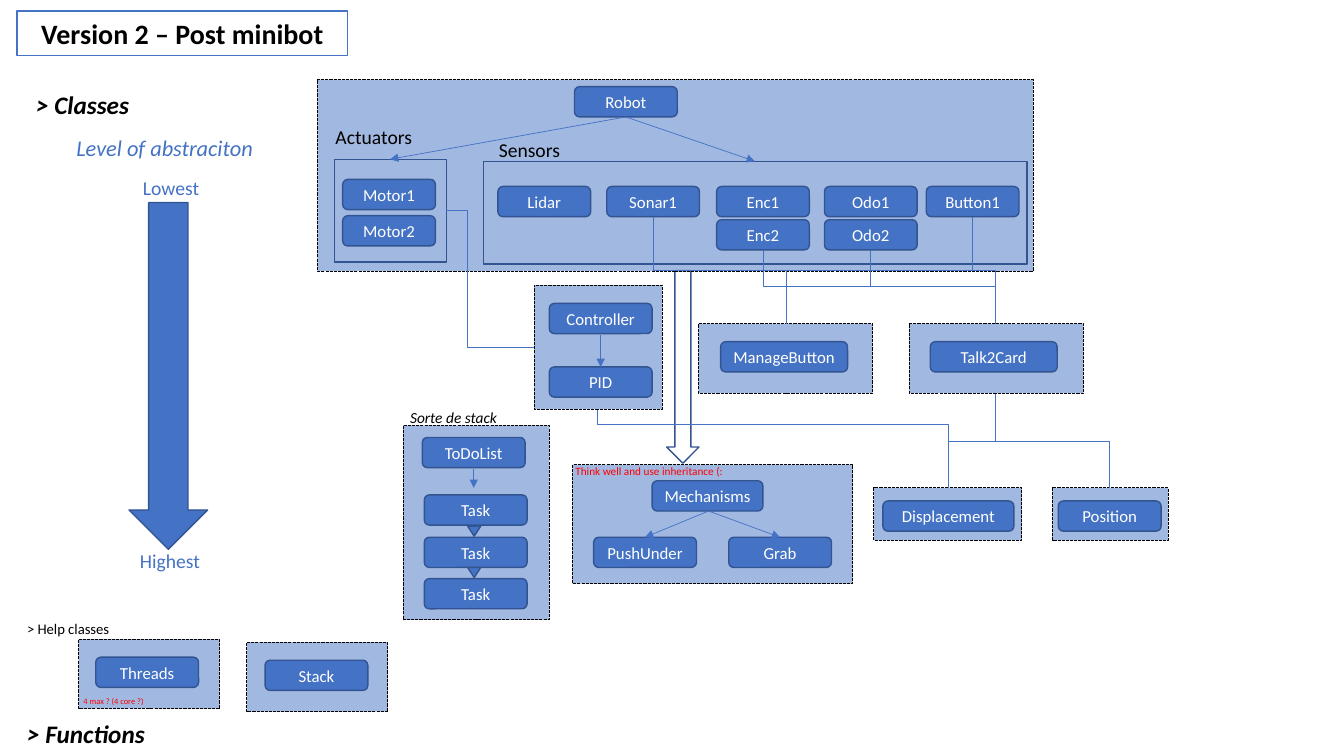
from lxml.etree import SubElement
from pptx import Presentation
from pptx.dml.color import RGBColor
from pptx.enum.dml import MSO_LINE
from pptx.enum.shapes import MSO_CONNECTOR, MSO_SHAPE
from pptx.enum.text import MSO_ANCHOR, MSO_AUTO_SIZE, PP_ALIGN
from pptx.oxml.ns import qn
from pptx.util import Cm, Pt

BLUE = RGBColor(0x44, 0x72, 0xC4)
NAVY = RGBColor(0x32, 0x54, 0x91)
BLACK = RGBColor(0, 0, 0)
WHITE = RGBColor(255, 255, 255)
RED = RGBColor(255, 0, 0)
INCH = 2.54

deck = Presentation()
deck.slide_width, deck.slide_height = Cm(33.87), Cm(19.05)
slide = deck.slides.add_slide(deck.slide_layouts[5])
shapes = slide.shapes


def write(frame, text, size, color, bold=False, italic=False):
    frame.text = text
    font = frame.paragraphs[0].runs[0].font
    font.name, font.size, font.color.rgb = "Calibri", Pt(size), color
    font.bold, font.italic = bold, italic


def draw(kind, spot, fill=None, edge=NAVY, width=1):
    shape = shapes.add_shape(kind, *[Cm(n * INCH) for n in spot])
    shape.shadow.inherit = False
    if fill is None:
        shape.fill.background()
    else:
        shape.fill.solid()
        shape.fill.fore_color.rgb = fill
    shape.line.color.rgb = edge
    shape.line.width = Pt(width)
    return shape


title = shapes.title
title.left, title.top, title.width, title.height = [
    Cm(n * INCH) for n in (0.17, 0.11, 3.28, 0.44)]
title.fill.solid()
title.fill.fore_color.rgb = WHITE
title.line.color.rgb = BLUE
title.line.width = Pt(1)
write(title.text_frame, "Version 2 – Post minibot", 20, BLACK, bold=True)
title.text_frame.auto_size = MSO_AUTO_SIZE.NONE
title.text_frame.vertical_anchor = MSO_ANCHOR.TOP
title.text_frame.paragraphs[0].alignment = PP_ALIGN.CENTER

for spot, fill in [((5.82, 3.48, 1.91, 0.32), None),
                   ((-0.05, 3.34, 3.44, 0.78), BLUE)]:
    draw(MSO_SHAPE.RIGHT_ARROW, spot, fill).rotation = 90

panels = [
    (3.15, 0.79, 7.1, 1.9), (0.78, 6.34, 1.4, 0.69), (4, 4.22, 1.45, 1.93),
    (2.45, 6.37, 1.4, 0.69), (5.3, 2.83, 1.27, 1.23), (5.68, 4.61, 2.78, 1.18),
    (10.44, 4.84, 1.15, 0.52), (6.93, 3.21, 1.73, 0.69),
    (8.67, 4.84, 1.47, 0.52), (9.02, 3.21, 1.73, 0.69),
]
for spot in panels:
    panel = draw(MSO_SHAPE.RECTANGLE, spot, BLUE, BLACK, 0.75)
    panel.line.dash_style = MSO_LINE.SQUARE_DOT
    tint = panel._element.spPr.find(qn("a:solidFill"))[0]
    SubElement(tint, qn("a:alpha"), val="50000")

for spot in [(3.32, 1.58, 1.11, 1.02), (4.8, 1.6, 5.39, 1.02)]:
    draw(MSO_SHAPE.RECTANGLE, spot)

nodes = {
    0.92: [("Motor1", 3.4, 1.78), ("Motor2", 3.4, 2.14), ("Lidar", 4.94, 1.85),
           ("Sonar1", 6.02, 1.85), ("Enc1", 7.11, 1.85), ("Enc2", 7.11, 2.18),
           ("Odo1", 8.18, 1.85), ("Odo2", 8.18, 2.18), ("Button1", 9.19, 1.85)],
    1.02: [("Robot", 5.7, 0.86), ("Threads", 0.95, 6.52), ("Stack", 2.63, 6.55),
           ("ToDoList", 4.19, 4.34), ("Task", 4.21, 4.91), ("Task", 4.21, 5.33),
           ("Task", 4.21, 5.74), ("Controller", 5.45, 3.01), ("PID", 5.45, 3.64),
           ("PushUnder", 5.89, 5.33), ("Grab", 7.23, 5.33),
           ("Position", 10.5, 4.97)],
    1.1: [("Mechanisms", 6.47, 4.77)],
    1.26: [("ManageButton", 7.15, 3.39), ("Talk2Card", 9.23, 3.39)],
    1.3: [("Displacement", 8.76, 4.97)],
}
for wide, group in nodes.items():
    for name, left, top in group:
        node = draw(MSO_SHAPE.ROUNDED_RECTANGLE, (left, top, wide, 0.3), BLUE)
        write(node.text_frame, name, 12, WHITE)
        node.text_frame.vertical_anchor = MSO_ANCHOR.MIDDLE
        node.text_frame.paragraphs[0].alignment = PP_ALIGN.CENTER

for top in (5.22, 5.63):
    draw(MSO_SHAPE.FLOWCHART_MERGE, (4.64, top, 0.13, 0.1), BLUE)

labels = [
    ("Actuators", (3.23, 1.19, 1.08, 0.34), 14, BLACK, False, False),
    ("Sensors", (4.85, 1.32, 1.08, 0.34), 14, BLACK, False, False),
    ("4 max ? (4 core ?)", (0.73, 6.86, 0.86, 0.2), 6, RED, False, False),
    ("Sorte de stack", (3.97, 4, 1.18, 0.29), 11, BLACK, False, True),
    ("> Classes", (0.26, 0.84, 3.75, 0.4), 18, BLACK, True, True),
    ("> Functions", (0.17, 7.08, 3.75, 0.4), 18, BLACK, True, True),
    ("> Help classes", (0.17, 6.1, 2.46, 0.29), 10.5, BLACK, False, False),
    ("Think well and use inheritance (:", (5.61, 4.56, 1.69, 0.24), 8, RED,
     False, False),
    ("Lowest", (1.32, 1.7, 0.95, 0.34), 14, BLUE, False, False),
    ("Level of abstraciton", (0.66, 1.28, 2.2, 0.37), 16, BLUE, False, True),
    ("Highest", (1.29, 5.4, 0.95, 0.34), 14, BLUE, False, False),
]
for text, spot, size, color, bold, italic in labels:
    frame = shapes.add_textbox(*[Cm(n * INCH) for n in spot]).text_frame
    frame.word_wrap = True
    write(frame, text, size, color, bold, italic)

links = [
    ("arrow", 6.21, 1.16, 3.87, 1.58, 0), ("arrow", 6.21, 1.16, 7.49, 1.6, 0),
    ("arrow", 4.7, 4.65, 4.7, 4.84, 0), ("arrow", 5.96, 3.32, 5.96, 3.64, 0),
    ("arrow", 7.03, 5.07, 6.4, 5.33, 0), ("arrow", 7.03, 5.07, 7.74, 5.33, 0),
    ("side", 4.42, 2.09, 5.3, 3.45, 0.25),
    ("drop", 9.65, 2.15, 7.8, 3.21, 0.5), ("drop", 7.57, 2.48, 9.88, 3.21, 0.5),
    ("drop", 8.64, 2.48, 9.88, 3.21, 0.5), ("drop", 6.48, 2.15, 9.88, 3.21, 0.5),
    ("drop", 9.88, 3.91, 9.41, 4.84, 0.5), ("drop", 9.88, 3.91, 11.01, 4.84, 0.5),
    ("drop", 5.93, 4.07, 9.41, 4.84, 0.18),
]
for style, x1, y1, x2, y2, bend in links:
    kind = MSO_CONNECTOR.STRAIGHT if style == "arrow" else MSO_CONNECTOR.ELBOW
    ends = (x1, y1, x2, y2)
    right = x2 > x1
    if style == "drop":
        midx, midy = (x1 + x2) / 2, (y1 + y2) / 2
        halfw, halfh = (y2 - y1) / 2, abs(x2 - x1) / 2
        if right:
            halfw = -halfw
        ends = (midx - halfw, midy - halfh, midx + halfw, midy + halfh)
    link = shapes.add_connector(kind, *[Cm(n * INCH) for n in ends])
    link.line.color.rgb = BLUE
    link.line.width = Pt(0.5)
    props = link._element.spPr
    if style == "drop":
        turn = 270 if right else 90
        props.find(qn("a:xfrm")).set("rot", str(turn * 60000))
    if style == "arrow":
        SubElement(props.find(qn("a:ln")), qn("a:tailEnd"), type="triangle")
    else:
        guides = props.find(qn("a:prstGeom")).find(qn("a:avLst"))
        SubElement(guides, qn("a:gd"), name="adj1",
                   fmla=f"val {round(bend * 100000)}")
    SubElement(props, qn("a:effectLst"))

deck.save("out.pptx")
